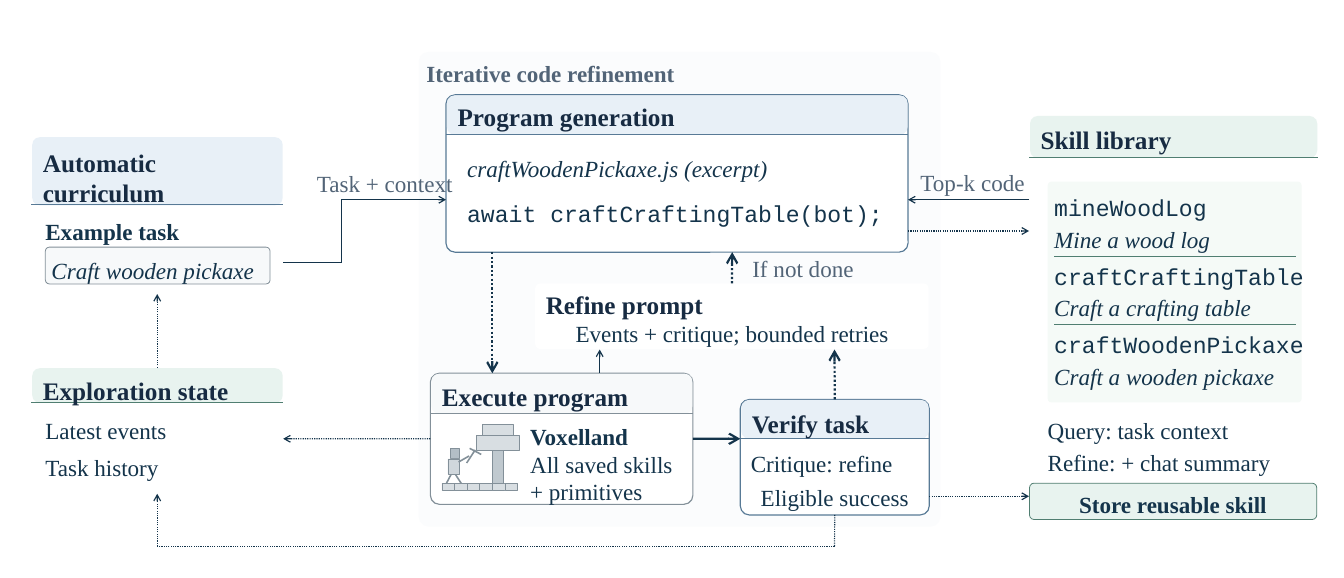
from dataclasses import dataclass
from itertools import pairwise
from typing import Optional

from lxml.etree import SubElement
from pptx import Presentation
from pptx.dml.color import RGBColor
from pptx.enum.dml import MSO_LINE
from pptx.enum.shapes import MSO_CONNECTOR, MSO_SHAPE
from pptx.enum.text import MSO_ANCHOR, PP_ALIGN
from pptx.oxml.ns import qn
from pptx.shapes.autoshape import Shape
from pptx.shapes.connector import Connector
from pptx.slide import Slide
from pptx.util import Inches, Pt


@dataclass(frozen=True)
class Theme:
    serif: str = "Times New Roman"
    mono: str = "Courier New"
    white: str = "FFFFFF"
    title: str = "172B42"
    ink: str = "14344B"
    muted: str = "526477"
    blue: str = "587A96"
    blue_fill: str = "E8F0F7"
    gray: str = "839099"
    gray_fill: str = "F7F9FA"
    green: str = "507E71"
    green_fill: str = "E8F3EF"
    list_fill: str = "F5FAF7"
    frame_fill: str = "FBFCFD"
    stone: str = "D8DEE2"
    pillar: str = "C0C9CF"
    head: str = "B3BEC6"
    body: str = "D0D7DC"
    title_size: float = 36
    text_size: float = 33
    thin: float = 1.65
    thick: float = 3.15
    rule: float = 1.05
    detail: float = 1.13
    limb: float = 2.25


THEME = Theme()


@dataclass(frozen=True)
class Panel:
    key: str
    box: tuple[float, float, float, float]
    title: str
    title_drop: float
    header: float = 0
    header_fill: str = THEME.white
    accent: str = THEME.blue
    outlined: bool = False
    radius: float = 0.18
    title_inset: float = 0.23


@dataclass(frozen=True)
class Route:
    points: tuple[tuple[float, float], ...]
    dotted: bool = True
    width: float = THEME.thin
    begin: Optional[tuple[str, int]] = None
    end: Optional[tuple[str, int]] = None


@dataclass(frozen=True)
class Label:
    text: str
    box: tuple[float, float, float]
    color: str = THEME.ink
    size: float = THEME.text_size
    font: str = THEME.serif
    bold: bool = False
    italic: bool = False
    align: PP_ALIGN = PP_ALIGN.LEFT


PANELS = [
    Panel("curriculum", (0.62, 2.71, 5, 3.12), "Automatic\ncurriculum", 0.21, 1.35, THEME.blue_fill),
    Panel("program", (8.85, 1.88, 9.17, 3.12), "Program generation", 0.14, 0.78, THEME.blue_fill, outlined=True),
    Panel("execute", (8.54, 7.4, 5.21, 2.6), "Execute program", 0.17, 0.79, THEME.gray_fill, THEME.gray, True),
    Panel("verify", (14.69, 7.92, 3.75, 2.29), "Verify task", 0.17, 0.77, THEME.blue_fill, outlined=True),
    Panel("library", (20.42, 2.29, 5.73, 8.44), "Skill library", 0.17, 0.83, THEME.green_fill, THEME.green),
    Panel("exploration", (0.62, 7.29, 5, 2.5), "Exploration state", 0.15, 0.69, THEME.green_fill, THEME.green),
    Panel("refine", (10.62, 5.62, 7.81, 1.3), "Refine prompt", 0.13, radius=0.1, title_inset=0.21),
]

ROUTES = [
    Route(((5.62, 5.21), (6.77, 5.21), (6.77, 3.96), (8.85, 3.96)), dotted=False),
    Route(((9.77, 5), (9.77, 7.4)), width=THEME.thick),
    Route(((13.75, 8.7), (14.69, 8.7)), False, THEME.thick, begin=("execute", 3)),
    Route(((18.44, 9.84), (20.42, 9.84))),
    Route(((20.42, 3.96), (18.02, 3.96)), dotted=False),
    Route(((18.02, 4.58), (20.42, 4.58))),
    Route(((8.54, 8.7), (5.62, 8.7)), begin=("execute", 1)),
    Route(((16.56, 10.21), (16.56, 10.83), (3.12, 10.83), (3.12, 9.79)), begin=("verify", 2), end=("exploration", 2)),
    Route(((3.12, 7.29), (3.12, 5.83)), begin=("exploration", 0), end=("curriculum", 2)),
    Route(((11.9, 7.4), (11.9, 6.93)), dotted=False),
    Route(((16.56, 7.92), (16.56, 6.93)), width=THEME.thick, begin=("verify", 0)),
    Route(((14.53, 5.62), (14.53, 5)), width=THEME.thick, begin=("refine", 0)),
]

LABELS = [
    Label("Iterative code refinement", (8.46, 1.15, 10.06), THEME.muted, bold=True),
    Label("Task + context", (6.09, 3.33, 3.09), THEME.muted, align=PP_ALIGN.CENTER),
    Label("Top-k code", (18.1, 3.31, 2.4), THEME.muted, align=PP_ALIGN.CENTER),
    Label("If not done", (14.77, 5.01, 2.33), THEME.muted, align=PP_ALIGN.CENTER),
    Label("Example task", (0.9, 4.27, 4.46), bold=True),
    Label("Craft wooden pickaxe", (1.02, 5.05, 4.29), italic=True),
    Label("craftWoodenPickaxe.js (excerpt)", (9.27, 3.02, 8.33), italic=True),
    Label("await craftCraftingTable(bot);", (9.27, 3.91, 8.33), font=THEME.mono),
    Label("Voxelland", (10.52, 8.34, 2.98), bold=True),
    Label("All saved skills", (10.52, 8.89, 2.98)),
    Label("+ primitives", (10.52, 9.43, 2.98)),
    Label("Critique: refine", (14.9, 8.88, 3.33)),
    Label("Eligible success", (14.9, 9.54, 3.33), align=PP_ALIGN.CENTER),
    Label("Query: task context", (20.79, 8.23, 5)),
    Label("Refine: + chat summary", (20.79, 8.85, 5)),
    Label("Latest events", (0.9, 8.23, 4.46)),
    Label("Task history", (0.9, 8.96, 4.46)),
    Label("Store reusable skill", (20.62, 9.69, 5.31), bold=True, align=PP_ALIGN.CENTER),
    Label("Events + critique; bounded retries", (10.83, 6.29, 7.4), align=PP_ALIGN.CENTER),
]

SKILLS = [
    ("mineWoodLog", "Mine a wood log"),
    ("craftCraftingTable", "Craft a crafting table"),
    ("craftWoodenPickaxe", "Craft a wooden pickaxe"),
]

BLOCKS = [((8.77 + 0.25 * index, 9.58, 0.25, 0.15), THEME.stone) for index in range(6)] + [
    ((9.78, 8.92, 0.21, 0.67), THEME.pillar),
    ((9.58, 8.41, 0.6, 0.23), THEME.stone),
    ((9.46, 8.64, 0.85, 0.29), THEME.stone),
    ((8.93, 8.9, 0.19, 0.19), THEME.head),
    ((8.89, 9.1, 0.23, 0.3), THEME.body),
]

LIMBS = [
    ((8.95, 9.41), (8.86, 9.58)),
    ((9.04, 9.41), (9.15, 9.58)),
    ((9.1, 9.16), (9.31, 9.04)),
    ((9.26, 9.18), (9.43, 8.92)),
    ((9.32, 8.89), (9.55, 9.01)),
]


def add_box(slide: Slide, box: tuple, fill: str, line: Optional[str] = None,
            width: float = THEME.detail, radius: float = 0) -> Shape:
    kind = MSO_SHAPE.ROUNDED_RECTANGLE if radius else MSO_SHAPE.RECTANGLE
    shape = slide.shapes.add_shape(kind, *map(Inches, box))
    shape.shadow.inherit = False
    if radius:
        shape.adjustments[0] = radius / min(box[2:])
    shape.fill.solid()
    shape.fill.fore_color.rgb = RGBColor.from_string(fill)
    if line:
        shape.line.color.rgb = RGBColor.from_string(line)
        shape.line.width = Pt(width)
    else:
        shape.line.fill.background()
    return shape


def add_line(slide: Slide, start: tuple, finish: tuple, color: str, width: float) -> Connector:
    connector = slide.shapes.add_connector(MSO_CONNECTOR.STRAIGHT, *map(Inches, start + finish))
    connector.line.color.rgb = RGBColor.from_string(color)
    connector.line.width = Pt(width)
    SubElement(connector.element.spPr, qn("a:effectLst"))
    return connector


def add_label(slide: Slide, label: Label) -> None:
    lines = label.text.split("\n")
    left, top, width = label.box
    height = (0.59 if label.size == THEME.title_size else 0.62) * len(lines)
    frame = slide.shapes.add_textbox(*map(Inches, (left, top, width, height))).text_frame
    frame.margin_left = frame.margin_right = frame.margin_top = frame.margin_bottom = 0
    frame.vertical_anchor = MSO_ANCHOR.MIDDLE
    frame.word_wrap = False
    for index, text in enumerate(lines):
        paragraph = frame.add_paragraph() if index else frame.paragraphs[0]
        paragraph.alignment = label.align
        run = paragraph.add_run()
        run.text = text
        run.font.name = label.font
        run.font.size = Pt(label.size)
        run.font.bold = label.bold
        run.font.italic = label.italic
        run.font.color.rgb = RGBColor.from_string(label.color)


def add_panel(slide: Slide, panel: Panel) -> Shape:
    left, top, width, height = panel.box
    line = panel.accent if panel.outlined else None
    shape = add_box(slide, panel.box, THEME.white, line, THEME.thin, panel.radius)
    if panel.header:
        add_box(slide, (left + 0.02, top + 0.01, width - 0.03, panel.header), panel.header_fill, radius=0.15)
        rule = top + panel.header
        add_line(slide, (left, rule), (left + width, rule), panel.accent, THEME.rule)
    title_box = (left + panel.title_inset, top + panel.title_drop, width - 2 * panel.title_inset)
    add_label(slide, Label(panel.title, title_box, THEME.title, THEME.title_size, bold=True))
    return shape


def add_route(slide: Slide, route: Route, panels: dict[str, Shape]) -> None:
    connectors = [add_line(slide, start, finish, THEME.ink, route.width)
                  for start, finish in pairwise(route.points)]
    if route.dotted:
        for connector in connectors:
            connector.line.dash_style = MSO_LINE.ROUND_DOT
    if route.begin:
        connectors[0].begin_connect(panels[route.begin[0]], route.begin[1])
    if route.end:
        connectors[-1].end_connect(panels[route.end[0]], route.end[1])
    outline = connectors[-1].element.spPr.find(qn("a:ln"))
    SubElement(outline, qn("a:tailEnd"), type="arrow", w="lg", len="lg")


def main() -> None:
    presentation = Presentation()
    presentation.slide_width = Inches(26.67)
    presentation.slide_height = Inches(11.46)
    slide = presentation.slides.add_slide(presentation.slide_layouts[6])
    add_box(slide, (8.31, 1.03, 10.35, 9.41), THEME.frame_fill, radius=0.19)
    panels = {panel.key: add_panel(slide, panel) for panel in PANELS}
    for route in ROUTES:
        add_route(slide, route, panels)
    add_box(slide, (0.9, 4.9, 4.46, 0.73), THEME.gray_fill, THEME.gray, radius=0.08)
    add_box(slide, (20.79, 3.6, 5.04, 4.38), THEME.list_fill, radius=0.08)
    add_box(slide, (20.43, 9.58, 5.7, 0.72), THEME.green_fill, THEME.green, radius=0.09)
    for box, fill in BLOCKS:
        add_box(slide, box, fill, THEME.gray)
    for start, finish in LIMBS:
        add_line(slide, start, finish, THEME.gray, THEME.limb)
    for index, (name, summary) in enumerate(SKILLS):
        top = 3.8 + 1.36 * index
        add_label(slide, Label(name, (20.92, top, 5.2), font=THEME.mono))
        add_label(slide, Label(summary, (20.92, top + 0.63, 4.79), italic=True))
        if index:
            add_line(slide, (20.92, top - 0.08), (25.71, top - 0.08), THEME.green, THEME.detail)
    for label in LABELS:
        add_label(slide, label)
    presentation.save("out.pptx")


if __name__ == "__main__":
    main()
